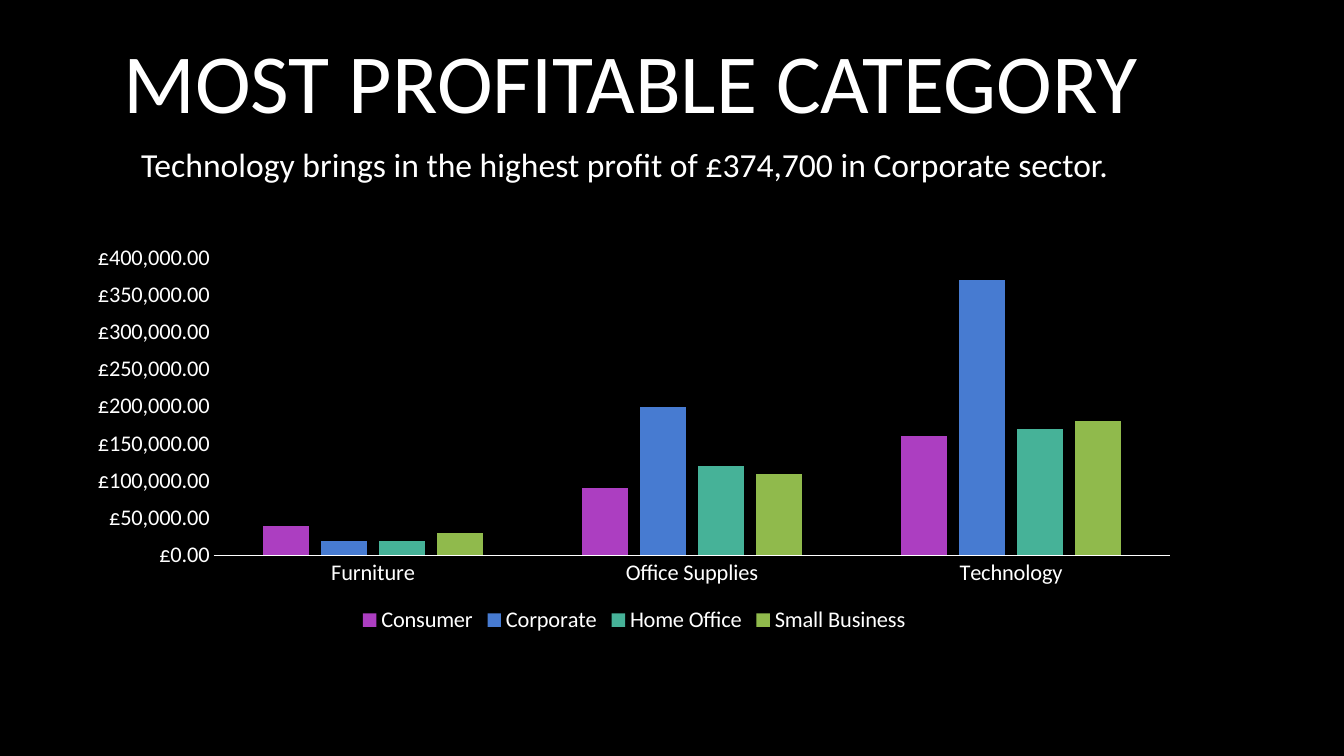
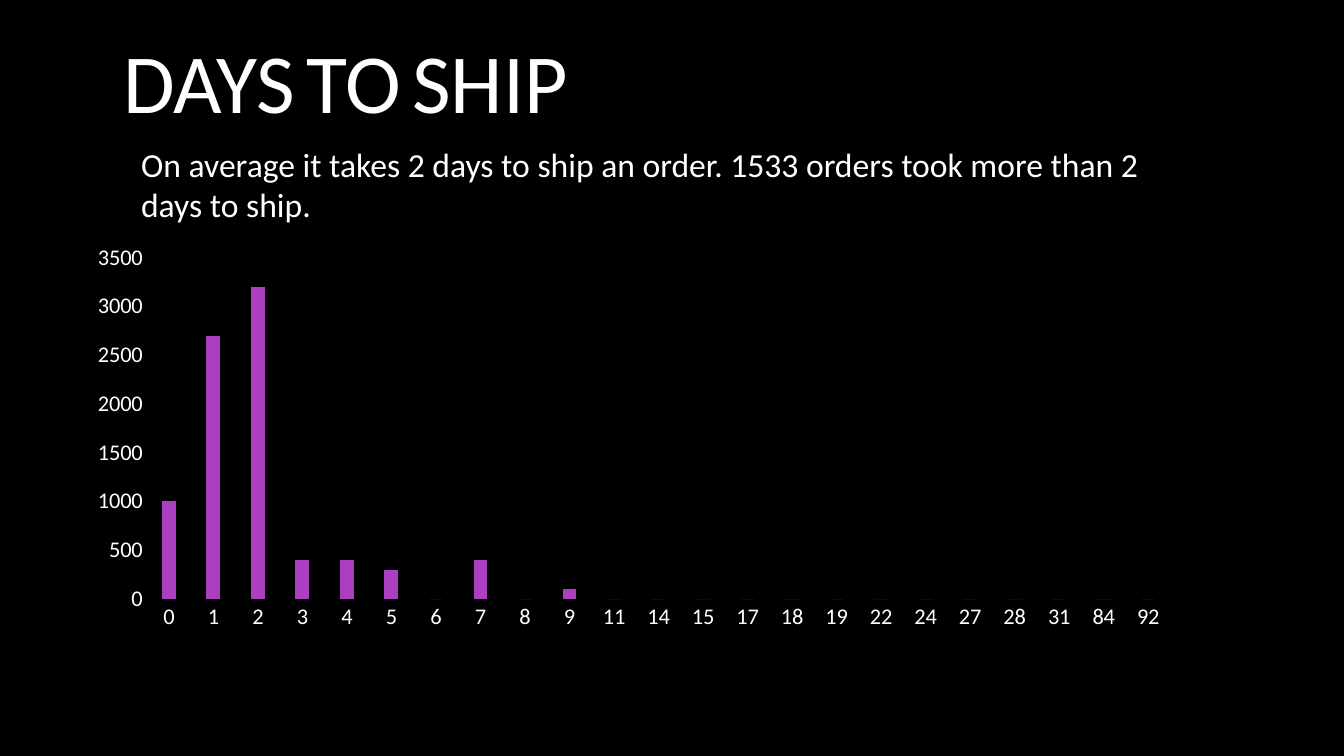
from dataclasses import dataclass

from pptx import Presentation
from pptx.chart.data import CategoryChartData
from pptx.dml.color import RGBColor
from pptx.enum.chart import XL_CHART_TYPE, XL_LEGEND_POSITION, XL_TICK_MARK
from pptx.enum.text import MSO_ANCHOR, MSO_AUTO_SIZE, PP_ALIGN
from pptx.oxml.ns import qn
from pptx.util import Inches, Pt


@dataclass(frozen=True)
class Theme:
    font: str = "Calibri"
    background: RGBColor = RGBColor.from_string("000000")
    text: RGBColor = RGBColor.from_string("FFFFFF")
    series: tuple = tuple(
        RGBColor.from_string(code) for code in ("AC3EC1", "477BD1", "46B298", "90BA4C")
    )
    title_size: int = 60
    narrow_space_size: int = 36
    subtitle_size: int = 24
    chart_size: int = 16


THEME = Theme()
SLIDE_WIDTH, SLIDE_HEIGHT = Inches(13.33), Inches(7.5)
COLUMNS, ROWS = 160, 90

# Left, top, width and height in grid columns and rows
TITLE_AREA = (13.5, 0, 133, 19)
SUBTITLE_AREA = (15.6, 16.5, 128.8, 6)
TALL_SUBTITLE_AREA = (15.6, 16.5, 128.8, 11)
CHART_AREA = (9, 28.1, 133, 47.9)

PROFIT_BY_SECTOR = {
    "Consumer": (40000, 90000, 160000),
    "Corporate": (20000, 200000, 370000),
    "Home Office": (20000, 120000, 170000),
    "Small Business": (30000, 110000, 180000),
}
ORDERS_BY_DAYS = {
    "0": 1000, "1": 2700, "2": 3200, "3": 400, "4": 400, "5": 300,
    "6": 0, "7": 400, "8": 0, "9": 100, "11": 0, "14": 0,
    "15": 0, "17": 0, "18": 0, "19": 0, "22": 0, "24": 0,
    "27": 0, "28": 0, "31": 0, "84": 0, "92": 0,
}


def apply_format(target, values):
    for name, value in values.items():
        setattr(target, name, value)


def grid_box(area):
    """Turn grid columns and rows into slide lengths."""
    left, top, width, height = area
    column, row = SLIDE_WIDTH / COLUMNS, SLIDE_HEIGHT / ROWS
    lengths = (left * column, top * row, width * column, height * row)
    return tuple(int(length) for length in lengths)


def place(shape, area):
    names = ("left", "top", "width", "height")
    apply_format(shape, dict(zip(names, grid_box(area))))


def style_font(font, size):
    apply_format(font, {"name": THEME.font, "size": Pt(size), "bold": False})
    font.color.rgb = THEME.text


def fill_title(shape, words, space_size):
    """Write the words with spaces of their own type size."""
    place(shape, TITLE_AREA)
    apply_format(shape.text_frame, {
        "word_wrap": True,
        "auto_size": MSO_AUTO_SIZE.NONE,
        "vertical_anchor": MSO_ANCHOR.MIDDLE,
    })
    paragraph = shape.text_frame.paragraphs[0]
    paragraph.alignment = PP_ALIGN.LEFT
    for index, word in enumerate(words):
        pieces = [(word, THEME.title_size)]
        if index:
            pieces.insert(0, (" ", space_size))
        for text, size in pieces:
            run = paragraph.add_run()
            run.text = text
            style_font(run.font, size)


def fill_subtitle(shape, text, area):
    place(shape, area)
    apply_format(shape.text_frame, {
        "text": text,
        "word_wrap": True,
        "auto_size": MSO_AUTO_SIZE.SHAPE_TO_FIT_TEXT,
        "vertical_anchor": MSO_ANCHOR.TOP,
    })
    paragraph = shape.text_frame.paragraphs[0]
    apply_format(paragraph, {"alignment": PP_ALIGN.LEFT, "space_before": Pt(0)})
    properties = paragraph._p.get_or_add_pPr()
    properties.set("marL", "0")
    properties.set("indent", "0")
    properties.append(properties.makeelement(qn("a:buNone"), {}))
    style_font(paragraph.runs[0].font, THEME.subtitle_size)


def add_content_slide(presentation, words, subtitle, subtitle_area, space_size):
    slide = presentation.slides.add_slide(presentation.slide_layouts[1])
    fill_title(slide.shapes.title, words, space_size)
    fill_subtitle(slide.placeholders[1], subtitle, subtitle_area)
    return slide


def style_axis(axis, has_line):
    apply_format(axis, {
        "has_major_gridlines": False,
        "major_tick_mark": XL_TICK_MARK.NONE,
        "minor_tick_mark": XL_TICK_MARK.NONE,
    })
    style_font(axis.tick_labels.font, THEME.chart_size)
    line = axis.format.line
    if has_line:
        line.color.rgb = THEME.text
        line.width = Pt(0.75)
    else:
        line.fill.background()


def add_column_chart(slide, categories, series, scale, number_format="General",
                     has_category_line=False, has_legend=False):
    data = CategoryChartData(number_format=number_format)
    data.categories = categories
    for name, values in series.items():
        data.add_series(name, values)
    chart = slide.shapes.add_chart(
        XL_CHART_TYPE.COLUMN_CLUSTERED, *grid_box(CHART_AREA), data
    ).chart
    apply_format(chart, {"has_title": False, "has_legend": has_legend})
    style_font(chart.font, THEME.chart_size)
    style_axis(chart.category_axis, has_category_line)
    style_axis(chart.value_axis, False)
    apply_format(chart.value_axis, scale)
    apply_format(chart.value_axis.tick_labels, {
        "number_format": number_format, "number_format_is_linked": False,
    })
    plot = chart.plots[0]
    apply_format(plot, {"gap_width": 219, "overlap": -27, "vary_by_categories": False})
    for column_series, color in zip(plot.series, THEME.series):
        column_series.format.fill.solid()
        column_series.format.fill.fore_color.rgb = color
        column_series.invert_if_negative = False
    if has_legend:
        apply_format(chart.legend, {
            "position": XL_LEGEND_POSITION.BOTTOM, "include_in_layout": False,
        })
        style_font(chart.legend.font, THEME.chart_size)


def add_profit_slide(presentation):
    slide = add_content_slide(
        presentation,
        ("MOST", "PROFITABLE", "CATEGORY"),
        "Technology brings in the highest profit of £374,700 in Corporate sector.",
        SUBTITLE_AREA,
        THEME.title_size,
    )
    add_column_chart(
        slide,
        ("Furniture", "Office Supplies", "Technology"),
        PROFIT_BY_SECTOR,
        {"minimum_scale": 0, "maximum_scale": 400000, "major_unit": 50000},
        number_format='"£"#,##0.00',
        has_category_line=True,
        has_legend=True,
    )


def add_shipping_slide(presentation):
    slide = add_content_slide(
        presentation,
        ("DAYS", "TO", "SHIP"),
        "On average it takes 2 days to ship an order. "
        "1533 orders took more than 2 days to ship.",
        TALL_SUBTITLE_AREA,
        THEME.narrow_space_size,
    )
    add_column_chart(
        slide,
        tuple(ORDERS_BY_DAYS),
        {"Series 1": tuple(ORDERS_BY_DAYS.values())},
        {"minimum_scale": 0, "maximum_scale": 3500, "major_unit": 500},
    )


def main():
    presentation = Presentation()
    apply_format(presentation, {"slide_width": SLIDE_WIDTH, "slide_height": SLIDE_HEIGHT})
    background = presentation.slide_master.background.fill
    background.solid()
    background.fore_color.rgb = THEME.background
    add_profit_slide(presentation)
    add_shipping_slide(presentation)
    presentation.save("out.pptx")


if __name__ == "__main__":
    main()
